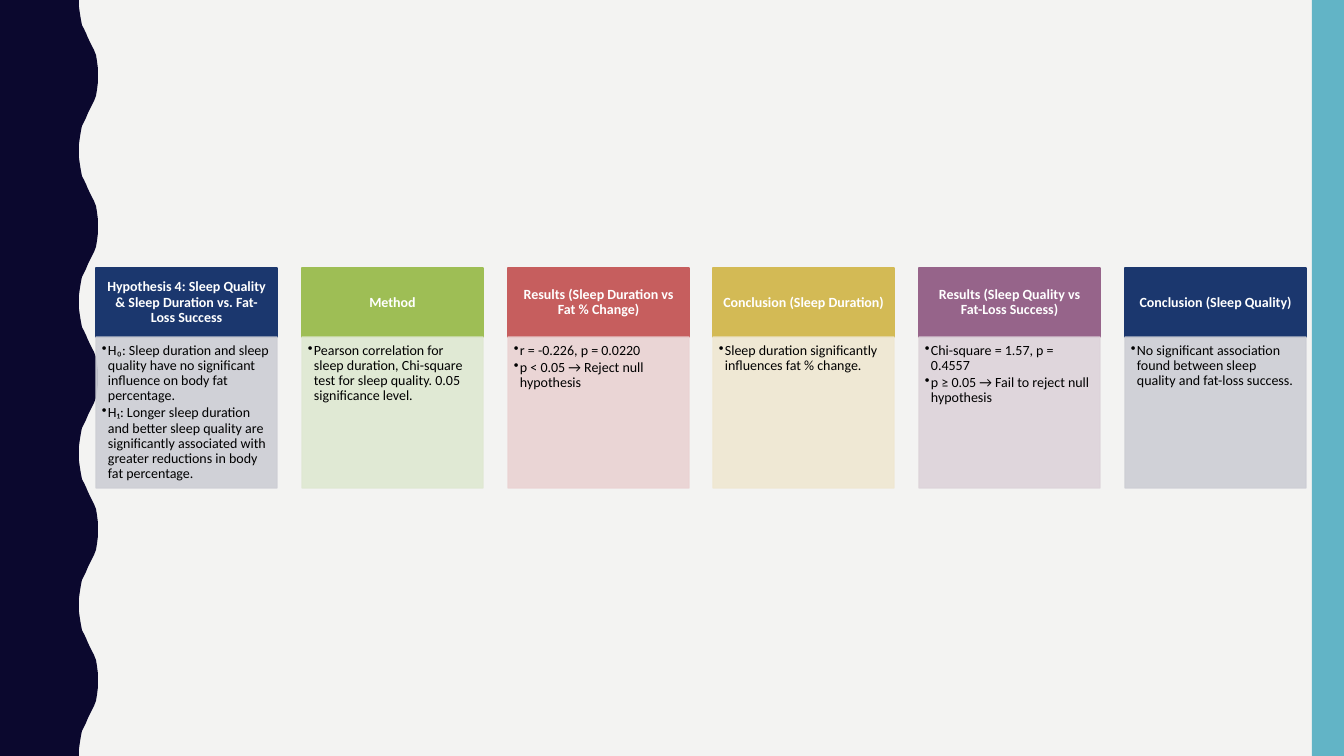
from lxml.etree import SubElement
from pptx import Presentation
from pptx.dml.color import RGBColor
from pptx.enum.shapes import MSO_SHAPE
from pptx.enum.text import MSO_ANCHOR, PP_ALIGN
from pptx.oxml.ns import qn
from pptx.util import Pt

PX = 914400 / 100.8  # EMU in one px
WIDE, HIGH = 1344, 756
COLORS = {
    "back": "F3F3F2", "wave": "0B082E", "edge": "62B4C6",
    "white": "FFFFFF", "black": "000000",
    "navy": "1B376E", "navy tint": "CDCED5",
    "green": "9EBE55", "green tint": "DFE8D1",
    "red": "C65E5E", "red tint": "EAD2D2",
    "gold": "D3BA55", "gold tint": "EFE7D1",
    "plum": "96648A", "plum tint": "DDD3DA",
}


def paint(shape, color, line=False):
    shape.shadow.inherit = False
    rgb = RGBColor.from_string(COLORS[color])
    shape.fill.solid()
    shape.fill.fore_color.rgb = rgb
    if line:
        shape.line.color.rgb = rgb
        shape.line.width = Pt(1)
    else:
        shape.line.fill.background()


def write(shape, lines, color, insets, bold=False, bullet=False,
          align=PP_ALIGN.LEFT, anchor=MSO_ANCHOR.TOP):
    frame = shape.text_frame
    frame.word_wrap = True
    frame.vertical_anchor = anchor
    (frame.margin_left, frame.margin_top,
     frame.margin_right, frame.margin_bottom) = [round(n * PX) for n in insets]
    frame.text = "\n".join(lines)
    for para in frame.paragraphs:
        para.alignment = align
        para.line_spacing = 0.9
        para.space_after = Pt(1.5)
        font = para.font
        for run in para.runs:
            font = run.font
            font.name, font.size, font.bold = "Calibri", Pt(10), bold
            font.color.rgb = RGBColor.from_string(COLORS[color])
        if bullet:
            props = para._p.get_or_add_pPr()
            props.set("marL", str(round(6 * PX)))
            props.set("indent", str(round(-6 * PX)))
            SubElement(props, qn("a:buChar"), char="•")


deck = Presentation()
deck.slide_width, deck.slide_height = round(WIDE * PX), round(HIGH * PX)
slide = deck.slides.add_slide(deck.slide_layouts[6])
slide.background.fill.solid()
slide.background.fill.fore_color.rgb = RGBColor.from_string(COLORS["back"])
shapes = slide.shapes

# Wavy left band: half a wave, mirrored and repeated
WAVES = 5
half = [(79, 0), (79, 7), (80, 14), (81, 20), (82, 25), (84, 29), (86, 33),
        (88, 38), (90, 42), (92, 46), (94, 50), (96, 55), (97, 61), (98, 69),
        (98, 76)]
wave = half + [(x, 151 - y) for x, y in half[-2::-1]]
points = [(x, y + round(n * HIGH / WAVES)) for n in range(WAVES) for x, y in wave]
pen = shapes.build_freeform(0, 0, scale=PX)
pen.add_line_segments([(79, 0)] + points + [(79, HIGH), (0, HIGH)], close=True)
paint(pen.convert_to_shape(), "wave")

# Right band
edge = shapes.add_shape(MSO_SHAPE.RECTANGLE, round(1312 * PX), 0,
                        round(32 * PX), round(HIGH * PX))
paint(edge, "edge")

# Six cards: a coloured head over a tinted body
cards = [
    ("navy", "Hypothesis 4: Sleep Quality & Sleep Duration vs. Fat-Loss Success",
     ["H₀: Sleep duration and sleep quality have no significant influence on "
      "body fat percentage.",
      "H₁: Longer sleep duration and better sleep quality are significantly "
      "associated with greater reductions in body fat percentage."]),
    ("green", "Method",
     ["Pearson correlation for sleep duration, Chi-square test for sleep "
      "quality. 0.05 significance level."]),
    ("red", "Results (Sleep Duration vs Fat % Change)",
     ["r = -0.226, p = 0.0220", "p < 0.05 → Reject null hypothesis"]),
    ("gold", "Conclusion (Sleep Duration)",
     ["Sleep duration significantly influences fat % change."]),
    ("plum", "Results (Sleep Quality vs Fat-Loss Success)",
     ["Chi-square = 1.57, p = 0.4557",
      "p ≥ 0.05 → Fail to reject null hypothesis"]),
    ("navy", "Conclusion (Sleep Quality)",
     ["No significant association found between sleep quality and fat-loss "
      "success."]),
]
FIRST, LAST, TOP, CARD, HEAD, BODY = 96, 1125, 268, 181, 69, 151
for i, (color, title, notes) in enumerate(cards):
    left = FIRST + round(i * (LAST - FIRST) / (len(cards) - 1))
    head = shapes.add_shape(MSO_SHAPE.RECTANGLE, round(left * PX), round(TOP * PX),
                            round(CARD * PX), round(HEAD * PX))
    paint(head, color, line=True)
    write(head, [title], "white", (8, 4, 8, 4), bold=True,
          align=PP_ALIGN.CENTER, anchor=MSO_ANCHOR.MIDDLE)

    body = shapes.add_shape(MSO_SHAPE.RECTANGLE, round(left * PX),
                            round((TOP + HEAD) * PX),
                            round(CARD * PX), round(BODY * PX))
    paint(body, color + " tint", line=True)
    for tint in body._element.spPr.iter(qn("a:srgbClr")):
        SubElement(tint, qn("a:alpha"), val="90000")
    write(body, notes, "black", (6, 6, 8, 9), bullet=True)

deck.save("out.pptx")
